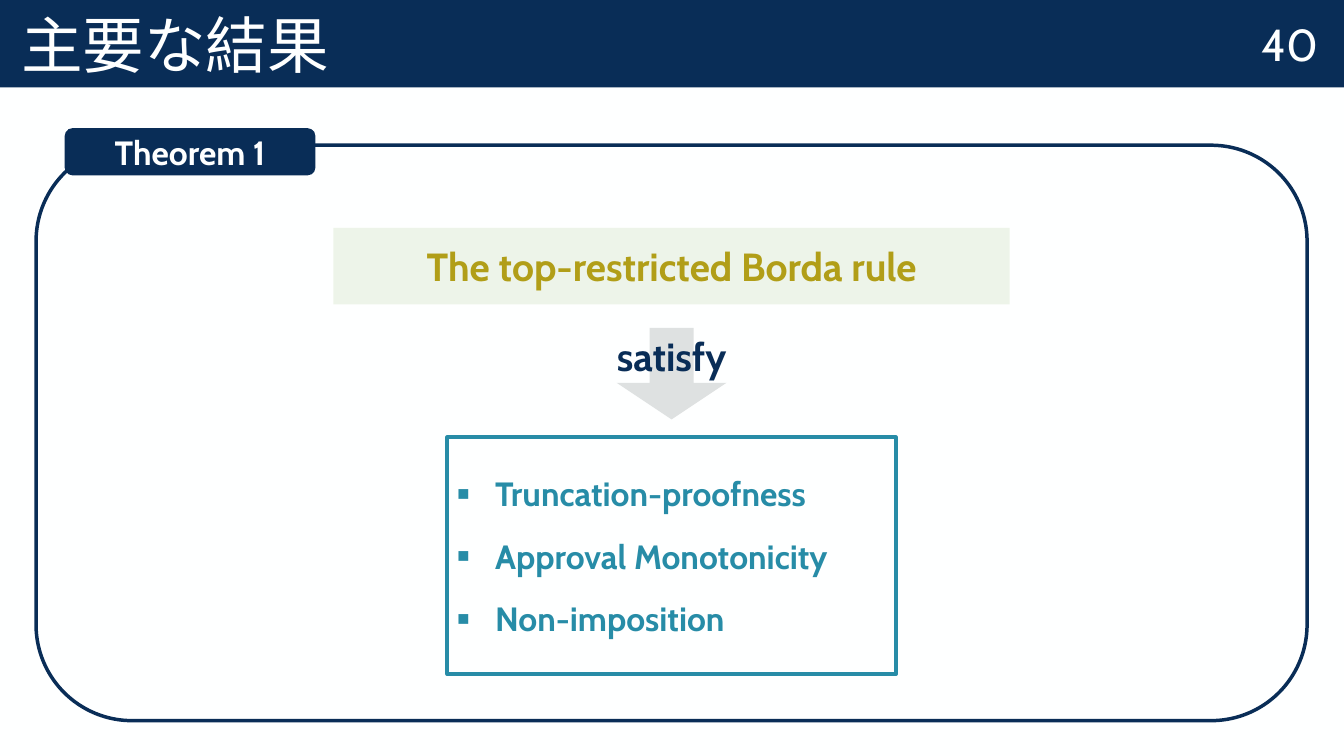
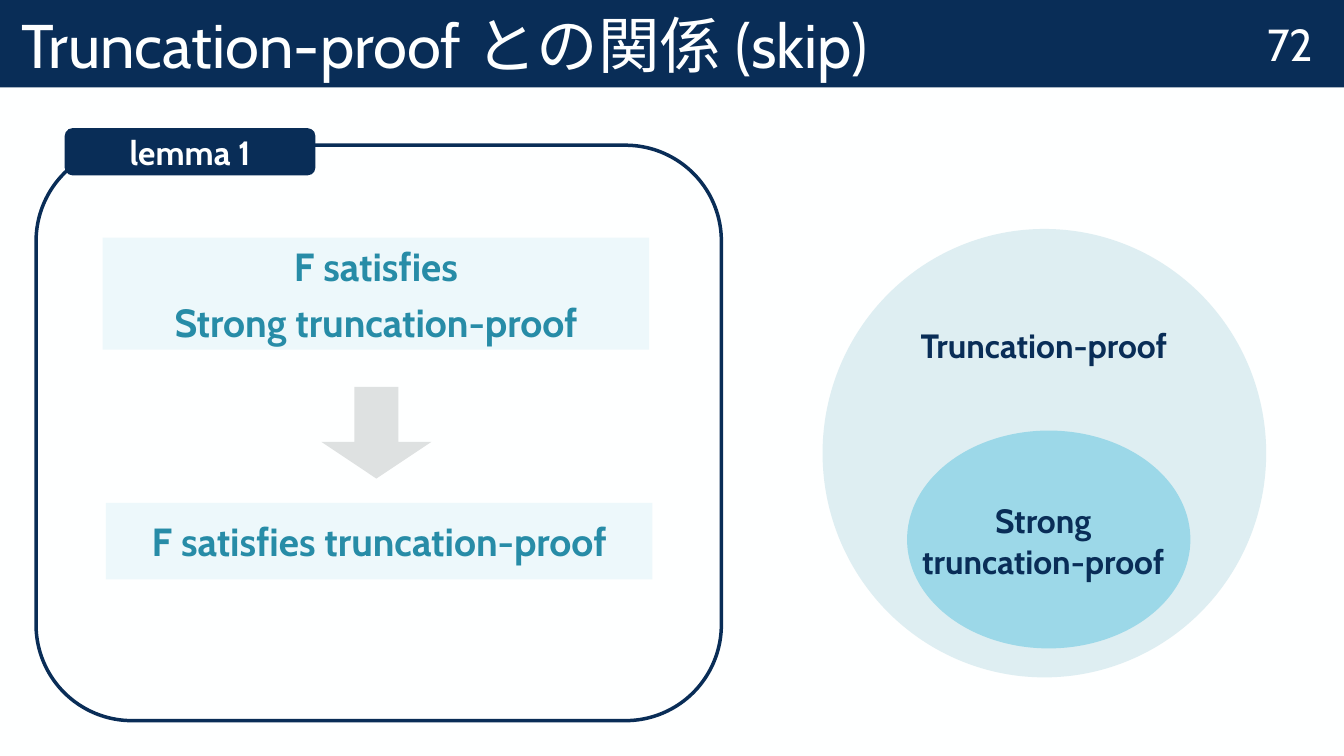
from lxml import etree
from pptx import Presentation
from pptx.dml.color import RGBColor
from pptx.enum import shapes, text
from pptx.oxml import ns
from pptx.util import Cm, Pt

NAVY = RGBColor(0x09, 0x2D, 0x57)
PAPER = RGBColor(0xFE, 0xFF, 0xFF)
TEAL = RGBColor(0x27, 0x8C, 0xA7)
OLIVE = RGBColor(0xB1, 0x9E, 0x18)
GREEN = RGBColor(0x68, 0x9E, 0x38)
SKY = RGBColor(0x6B, 0xC5, 0xDC)
GREY = RGBColor(0xDE, 0xE1, 0xE1)
OUTER_BLUE = RGBColor(0xDE, 0xEE, 0xF2)
INNER_BLUE = RGBColor(0x9C, 0xD8, 0xE8)

FONT = "Cabin"
SLIDE_W, SLIDE_H = 33.87, 19.05
BAND_H = 2.2
FRAME_X, FRAME_Y, FRAME_H = 0.91, 3.66, 14.5
ARROW_W, ARROW_H = 2.77, 2.31
TITLE_AND_CONTENT, TITLE_ONLY = 1, 5
SHAPE = shapes.MSO_SHAPE


def place(part, x, y, w, h):
    part.left, part.top, part.width, part.height = Cm(x), Cm(y), Cm(w), Cm(h)


def write(part, lines, size, color, bold=True, align=text.PP_ALIGN.CENTER,
          anchor=text.MSO_ANCHOR.MIDDLE, before=0, wrap=True):
    frame = part.text_frame
    frame.text = "\n".join(lines)
    frame.word_wrap = wrap
    frame.auto_size = text.MSO_AUTO_SIZE.NONE
    frame.vertical_anchor = anchor
    for paragraph in frame.paragraphs:
        paragraph.alignment = align
        paragraph.space_before = Pt(before)
        font = paragraph.font
        font.name, font.size, font.bold = FONT, Pt(size), bold
        font.color.rgb = color
    return frame


def draw(slide, kind, x, y, w, h, fill=None, line=None, opacity=None):
    shape = slide.shapes.add_shape(kind, Cm(x), Cm(y), Cm(w), Cm(h))
    shape.shadow.inherit = False
    if fill is None:
        shape.fill.background()
    else:
        shape.fill.solid()
        shape.fill.fore_color.rgb = fill
    if opacity is not None:
        color = shape.fill._xPr.find(".//" + ns.qn("a:srgbClr"))
        etree.SubElement(color, ns.qn("a:alpha"), val=str(opacity * 1000))
    if line is None:
        shape.line.fill.background()
    else:
        shape.line.color.rgb = line
        shape.line.width = Pt(2.5)
    return shape


def label(slide, x, y, w, h, lines, size, **style):
    caption = slide.shapes.add_textbox(Cm(x), Cm(y), Cm(w), Cm(h))
    write(caption, lines, size, **style)


def header(slide, title, number):
    band = slide.shapes.title
    place(band, 0, 0, SLIDE_W, BAND_H)
    band.fill.solid()
    band.fill.fore_color.rgb = NAVY
    heading = write(band, [title], 44, PAPER, bold=False,
                    align=text.PP_ALIGN.LEFT, anchor=text.MSO_ANCHOR.BOTTOM)
    heading.margin_left = Cm(0.53)
    heading.paragraphs[0].line_spacing = 0.9
    label(slide, 31.2, 0, 2.64, BAND_H, [number], 32, color=PAPER, bold=False)


def framed_box(slide, x, y, w, h, name):
    draw(slide, SHAPE.ROUNDED_RECTANGLE, x, y, w, h, line=NAVY)
    tab = draw(slide, SHAPE.ROUNDED_RECTANGLE, x + 0.72, y - 0.43, 6.32, 1.19,
               fill=NAVY)
    write(tab, [name], 24, PAPER)


def statement(slide, x, y, w, h, lines, tint, color):
    panel = draw(slide, SHAPE.RECTANGLE, x, y, w, h, fill=tint, opacity=11)
    write(panel, lines, 28, color, before=6)


def down_arrow(slide, x, y):
    arrow = draw(slide, SHAPE.DOWN_ARROW, x, y, ARROW_W, ARROW_H, fill=GREY)
    arrow.adjustments[0], arrow.adjustments[1] = 0.4, 0.4


def property_list(body, x, y, w, h, properties):
    place(body, x, y, w, h)
    body.line.color.rgb = TEAL
    body.line.width = Pt(2.75)
    frame = write(body, properties, 24, TEAL, align=text.PP_ALIGN.LEFT, before=16)
    for paragraph in frame.paragraphs:
        settings = paragraph._p.get_or_add_pPr()
        settings.set("marL", str(Cm(0.95)))
        settings.set("indent", str(-Cm(0.95)))
        bullet = [("a:buSzPct", {"val": "60000"}),
                  ("a:buFont", {"typeface": "Arial"}),
                  ("a:buChar", {"char": "■"})]
        defaults = settings.find(ns.qn("a:defRPr"))
        for tag, values in bullet:
            defaults.addprevious(etree.Element(ns.qn(tag), values))


def theorem(slide, x, y, w, h):
    framed_box(slide, x, y, w, h, "Theorem 1")
    middle = x + w / 2
    statement(slide, middle - 8.52, y + 2.08, 17.04, 1.93,
              ["The top-restricted Borda rule"], GREEN, OLIVE)
    down_arrow(slide, middle - ARROW_W / 2, y + 4.6)
    label(slide, middle - 4.08, y + 4.6, 8.16, 1.45, ["satisfy"], 28,
          color=NAVY, anchor=text.MSO_ANCHOR.TOP)
    property_list(slide.placeholders[1], middle - 5.65, y + 7.36, 11.3, 5.97,
                  ["Truncation-proofness", "Approval Monotonicity",
                   "Non-imposition"])


def lemma(slide, x, y, w, h):
    framed_box(slide, x, y, w, h, "lemma 1")
    statement(slide, x + 1.68, y + 2.33, 13.77, 2.82,
              ["F satisfies", "Strong truncation-proof"], SKY, TEAL)
    down_arrow(slide, x + 7.19, y + 6.09)
    statement(slide, x + 1.76, y + 9.01, 13.77, 1.93,
              ["F satisfies truncation-proof"], SKY, TEAL)


def inclusion_diagram(slide, x, y, w, h):
    draw(slide, SHAPE.OVAL, x, y, w, h, fill=OUTER_BLUE)
    draw(slide, SHAPE.OVAL, x + 2.13, y + 5.08, 7.14, 5.49, fill=INNER_BLUE)
    label(slide, x + 1.93, y + 6.7, 7.26, 2.31, ["Strong", "truncation-proof"],
          24, color=NAVY, wrap=False)
    label(slide, x + 1.88, y + 2.28, 7.39, 1.27, ["Truncation-proof"],
          24, color=NAVY, wrap=False)


def main():
    deck = Presentation()
    deck.slide_width, deck.slide_height = Cm(SLIDE_W), Cm(SLIDE_H)
    backdrop = deck.slide_master.background.fill
    backdrop.solid()
    backdrop.fore_color.rgb = PAPER

    result = deck.slides.add_slide(deck.slide_layouts[TITLE_AND_CONTENT])
    header(result, "主要な結果", "40")
    theorem(result, FRAME_X, FRAME_Y, 32.03, FRAME_H)

    relation = deck.slides.add_slide(deck.slide_layouts[TITLE_ONLY])
    header(relation, "Truncation-proof との関係 (skip)", "72")
    lemma(relation, FRAME_X, FRAME_Y, 17.27, FRAME_H)
    inclusion_diagram(relation, 20.73, 5.77, 11.18, 11.3)

    deck.save("out.pptx")


if __name__ == "__main__":
    main()
